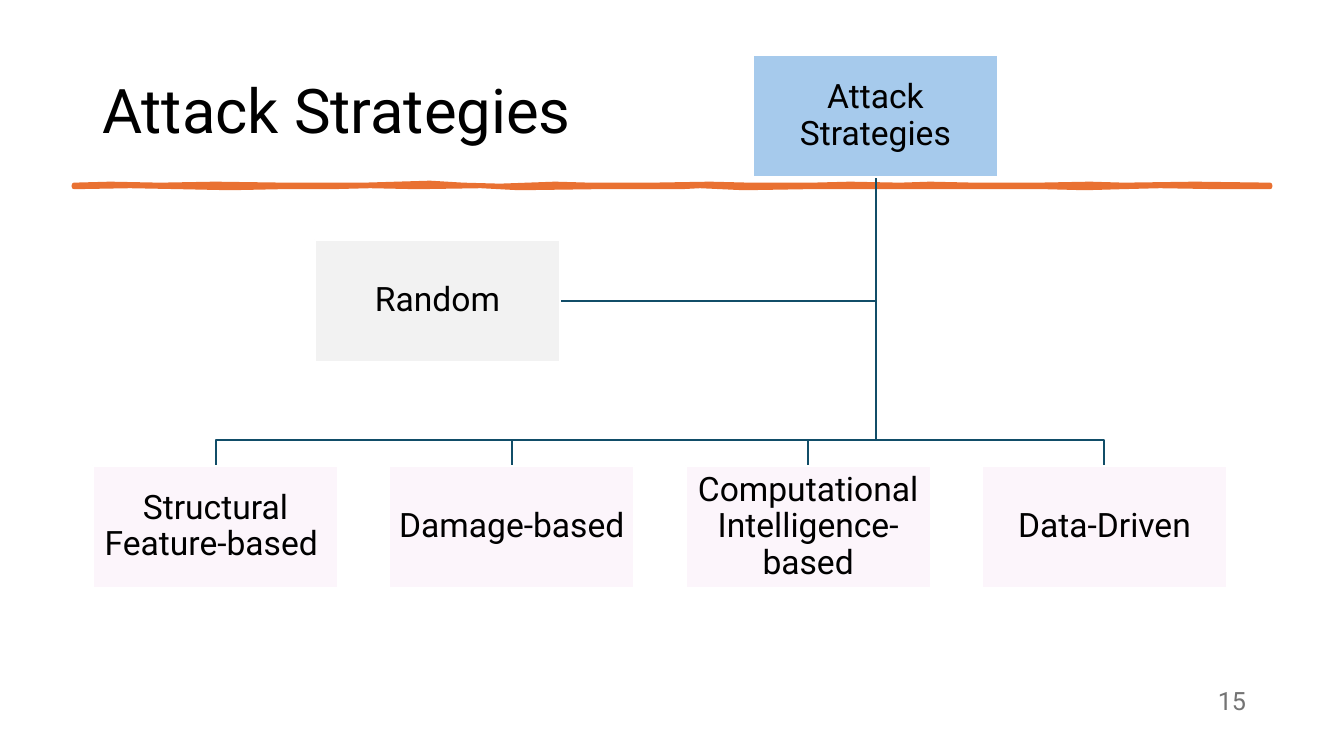
"""Build the Attack Strategies slide: a title, a wavy rule and a tree of strategies."""
from lxml import etree
from pptx import Presentation
from pptx.dml.color import RGBColor
from pptx.enum.shapes import MSO_SHAPE
from pptx.enum.text import MSO_ANCHOR, PP_ALIGN
from pptx.oxml.ns import qn
from pptx.util import Pt

RECTANGLE = MSO_SHAPE.RECTANGLE
MIDDLE = MSO_ANCHOR.MIDDLE
LEFT, CENTER, RIGHT = PP_ALIGN.LEFT, PP_ALIGN.CENTER, PP_ALIGN.RIGHT
EMU_PER_PX = 914400 / 100.8
THEME = {
    "font": "Roboto", "title": 44, "label": 24, "number": 18,
    "text": "000000", "muted": "747474", "accent": "E97132", "branch": "114D68",
    "root": "A6CAEC", "random": "F2F2F2", "child": "F2CFEE", "border": "FFFFFF",
}
BOX_WIDTH, BOX_HEIGHT = 245, 122
ROOT_LEFT, ROOT_TOP = 753, 55
RANDOM_LEFT, RANDOM_TOP = 315, 240
FIRST_CHILD_LEFT, LAST_CHILD_LEFT, CHILD_TOP = 93, 982, 466
BUS_TOP = 440
CHILDREN = ["Structural Feature-based ", "Damage-based",
            "Computational Intelligence-based", "Data-Driven"]
RULE_TOP = [(74, 185), (110, 184), (160, 185), (215, 184), (286, 185), (364, 185),
            (430, 183), (463, 185), (500, 186), (555, 184), (590, 185), (651, 185),
            (710, 184), (750, 185), (812, 185), (850, 184), (900, 185), (930, 184),
            (975, 185), (1037, 185), (1090, 184), (1124, 185), (1195, 184), (1270, 185)]
RULE_BOTTOM = [(1270, 187), (1220, 187), (1160, 186), (1121, 187), (1085, 188),
               (1046, 187), (1007, 187), (932, 187), (870, 187), (806, 187),
               (744, 188), (700, 186), (681, 187), (595, 187), (519, 188),
               (481, 186), (417, 187), (370, 186), (331, 187), (280, 187),
               (230, 188), (181, 187), (130, 186), (74, 187)]


def px(*lengths):
    return [round(length * EMU_PER_PX) for length in lengths]


def write(shape, text, size, color, alignment, line_spacing=0.9):
    frame = shape.text_frame
    frame.word_wrap = True
    frame.vertical_anchor = MIDDLE
    paragraph = frame.paragraphs[0]
    paragraph.text = text
    paragraph.alignment = alignment
    paragraph.line_spacing = line_spacing
    paragraph.font.name = THEME["font"]
    paragraph.font.size = Pt(THEME[size])
    paragraph.font.color.rgb = RGBColor.from_string(THEME[color])


presentation = Presentation()
presentation.slide_width, presentation.slide_height = px(1344, 756)
slide = presentation.slides.add_slide(presentation.slide_layouts[5])
shapes = slide.shapes

title = shapes.title
title.left, title.top, title.width, title.height = px(92, 41, 1159, 146)
write(title, "Attack Strategies", "title", "text", LEFT)

builder = shapes.build_freeform(*RULE_TOP[0], scale=EMU_PER_PX)
builder.add_line_segments(RULE_TOP[1:] + RULE_BOTTOM, close=True)
rule = builder.convert_to_shape()
rule.shadow.inherit = False
rule.fill.solid()
rule.fill.fore_color.rgb = RGBColor.from_string(THEME["accent"])
rule.line.color.rgb = RGBColor.from_string(THEME["accent"])
rule.line.width = Pt(3.25)

number = shapes.add_textbox(*px(1115, 680, 141, 40))
write(number, "15", "number", "muted", RIGHT, 1.0)

trunk_x = ROOT_LEFT + BOX_WIDTH / 2
trunk_top = ROOT_TOP + BOX_HEIGHT
random_y = RANDOM_TOP + BOX_HEIGHT / 2
child_pitch = (LAST_CHILD_LEFT - FIRST_CHILD_LEFT) / (len(CHILDREN) - 1)
child_lefts = [FIRST_CHILD_LEFT + index * child_pitch for index in range(len(CHILDREN))]
branches = [[(trunk_x, random_y), (RANDOM_LEFT + BOX_WIDTH, random_y)]]
for left in reversed(child_lefts):
    center = left + BOX_WIDTH / 2
    branches.append([(trunk_x, BUS_TOP), (center, BUS_TOP), (center, CHILD_TOP)])
for points in branches:
    builder = shapes.build_freeform(trunk_x, trunk_top, scale=EMU_PER_PX)
    builder.add_line_segments(points, close=False)
    branch = builder.convert_to_shape()
    branch.shadow.inherit = False
    branch.fill.background()
    branch.line.color.rgb = RGBColor.from_string(THEME["branch"])
    branch.line.width = Pt(1.5)

nodes = [("Attack Strategies", ROOT_LEFT, ROOT_TOP, "root")]
nodes += [(text, left, CHILD_TOP, "child") for text, left in zip(CHILDREN, child_lefts)]
nodes.append(("Random", RANDOM_LEFT, RANDOM_TOP, "random"))
for text, left, top, role in nodes:
    box = shapes.add_shape(RECTANGLE, *px(left, top, BOX_WIDTH, BOX_HEIGHT))
    box.shadow.inherit = False
    box.fill.solid()
    box.fill.fore_color.rgb = RGBColor.from_string(THEME[role])
    if role == "child":
        color = box._element.spPr.find(qn("a:solidFill"))[0]
        etree.SubElement(color, qn("a:alpha"), val="20000")
    box.line.color.rgb = RGBColor.from_string(THEME["border"])
    box.line.width = Pt(1.5)
    frame = box.text_frame
    frame.margin_left, frame.margin_top, frame.margin_right, frame.margin_bottom = px(2, 2, 2, 2)
    write(box, text, "label", "text", CENTER)

presentation.save("out.pptx")
